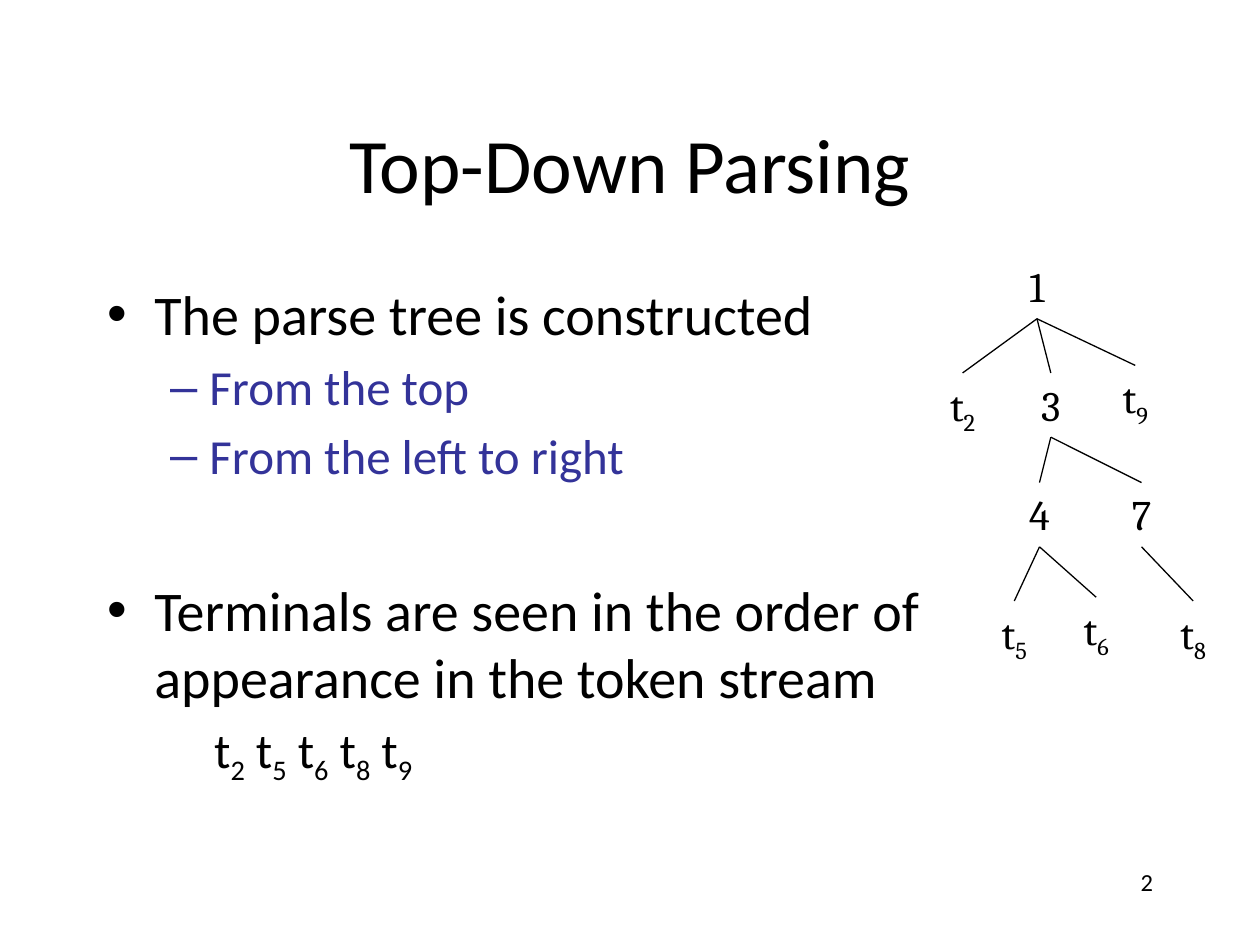
from lxml import etree
from pptx import Presentation
from pptx.dml.color import RGBColor
from pptx.enum.shapes import MSO_CONNECTOR
from pptx.enum.text import MSO_ANCHOR, MSO_AUTO_SIZE, PP_ALIGN
from pptx.oxml.ns import qn
from pptx.util import Inches, Pt

STRAIGHT = MSO_CONNECTOR.STRAIGHT
MIDDLE, TOP = MSO_ANCHOR.MIDDLE, MSO_ANCHOR.TOP
NO_FIT = MSO_AUTO_SIZE.NONE
CENTER, RIGHT = PP_ALIGN.CENTER, PP_ALIGN.RIGHT

BLACK, BLUE = "000000", "333399"
HEADING = "Top-Down Parsing"
PAGE = "2"
POINTS = [
    {"text": "The parse tree is constructed", "level": 0, "size": 32, "color": BLACK, "before": 0},
    {"text": "From the top", "level": 1, "size": 28, "color": BLUE, "before": 5.6},
    {"text": "From the left to right", "level": 1, "size": 28, "color": BLUE, "before": 5.6},
    {"text": "Terminals are seen in the order of appearance in the token stream",
     "level": 0, "size": 32, "color": BLACK, "before": 52},
]
TOKENS = ["2", "5", "6", "8", "9"]
TOKEN_INDENT = 0.85

NODES = {
    "1": (8.23, 2.02),
    "t2": (7.64, 2.96), "3": (8.34, 2.96), "t9": (9.01, 2.9),
    "4": (8.25, 3.83), "7": (9.06, 3.83),
    "t5": (8.05, 4.77), "t6": (8.7, 4.74), "t8": (9.47, 4.77),
}
CHILDREN = {"1": ["t2", "3", "t9"], "3": ["4", "7"], "4": ["t5", "t6"], "7": ["t8"]}
NODE_WIDTH, NODE_HEIGHT = 0.41, 0.51


def rgb(value):
    return RGBColor.from_string(value)


def apply(target, values):
    for name, value in values.items():
        setattr(target, name, value)


def place(shape, left, top, width, height):
    apply(shape, {"left": Inches(left), "top": Inches(top),
                  "width": Inches(width), "height": Inches(height)})


def add_run(paragraph, text, size, color=BLACK, face="Calibri", subscript=False):
    run = paragraph.add_run()
    run.text = text
    apply(run.font, {"size": Pt(size), "name": face})
    run.font.color.rgb = rgb(color)
    if subscript:
        run._r.get_or_add_rPr().set("baseline", "-25000")


def add_node(tree, label, center, top):
    node = tree.shapes.add_textbox(Inches(center - NODE_WIDTH / 2), Inches(top),
                                   Inches(NODE_WIDTH), Inches(NODE_HEIGHT))
    node.text_frame.word_wrap = False
    line = node.text_frame.paragraphs[0]
    line.alignment = CENTER
    add_run(line, label[0], 24, face="Cambria")
    if label[1:]:
        add_run(line, label[1:], 24, face="Cambria", subscript=True)


def add_branch(tree, parent, child):
    (start_x, start_top), (end_x, end_y) = NODES[parent], NODES[child]
    branch = tree.shapes.add_connector(STRAIGHT, Inches(start_x), Inches(start_top + NODE_HEIGHT),
                                       Inches(end_x), Inches(end_y))
    branch.line.color.rgb = rgb(BLACK)
    branch.line.width = Pt(0.75)
    etree.SubElement(branch._element.spPr, qn("a:effectLst"))


def fill_body(frame):
    apply(frame, {"auto_size": NO_FIT, "vertical_anchor": TOP, "word_wrap": True})
    for index, point in enumerate(POINTS):
        line = frame.add_paragraph() if index else frame.paragraphs[0]
        apply(line, {"level": point["level"], "space_before": Pt(point["before"])})
        add_run(line, point["text"], point["size"], point["color"])

    stream = frame.add_paragraph()
    apply(stream, {"level": 1, "space_before": Pt(5.6)})
    properties = stream._p.get_or_add_pPr()
    properties.set("marL", str(Inches(TOKEN_INDENT)))
    properties.set("indent", "0")
    etree.SubElement(properties, qn("a:buNone"))
    for index, token in enumerate(TOKENS):
        add_run(stream, " t" if index else "t", 28)
        add_run(stream, token, 28, subscript=True)


def main():
    deck = Presentation()
    apply(deck, {"slide_width": Inches(10), "slide_height": Inches(7.5)})
    slide = deck.slides.add_slide(deck.slide_layouts[1])

    title, body = slide.placeholders
    place(title, 0.75, 0.67, 8.5, 1.25)
    apply(title.text_frame, {"auto_size": NO_FIT, "vertical_anchor": MIDDLE})
    heading = title.text_frame.paragraphs[0]
    heading.alignment = CENTER
    add_run(heading, HEADING, 44)

    place(body, 0.75, 2.17, 8.5, 4.5)
    fill_body(body.text_frame)

    page = slide.shapes.add_textbox(Inches(7.17), Inches(6.83), Inches(2.08), Inches(0.5))
    page.text_frame.word_wrap = True
    number = page.text_frame.paragraphs[0]
    number.alignment = RIGHT
    add_run(number, PAGE, 14)

    tree = slide.shapes.add_group_shape()
    for label, (center, top) in NODES.items():
        add_node(tree, label, center, top)
    for parent, children in CHILDREN.items():
        for child in children:
            add_branch(tree, parent, child)

    deck.save("out.pptx")


if __name__ == "__main__":
    main()
